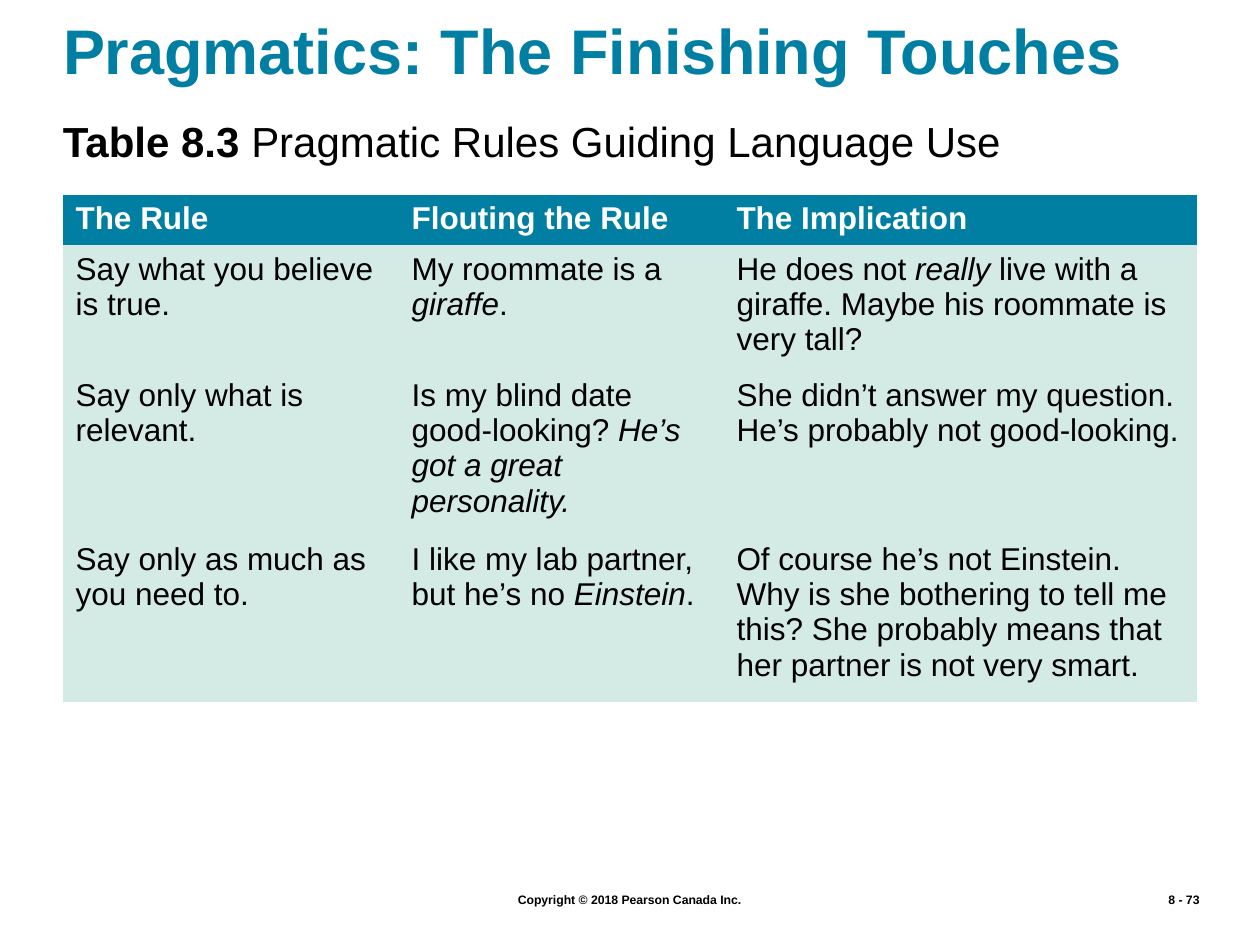
from dataclasses import dataclass

from pptx import Presentation
from pptx.dml.color import RGBColor
from pptx.enum.text import MSO_ANCHOR, MSO_AUTO_SIZE, PP_ALIGN
from pptx.util import Pt

LEFT, MID, RIGHT = PP_ALIGN.LEFT, PP_ALIGN.CENTER, PP_ALIGN.RIGHT
TOP, CENTER = MSO_ANCHOR.TOP, MSO_ANCHOR.MIDDLE
NO_FIT = MSO_AUTO_SIZE.NONE
PLAIN = "{2D5ABB26-0587-4C30-8999-92F81FD0307C}"  # no style, no grid


@dataclass(frozen=True)
class Theme:
    font: str = "Arial"
    teal: str = "007FA3"
    mint: str = "D4EAE4"
    ink: str = "000000"
    white: str = "FFFFFF"
    title: int = 36
    lead: int = 24
    cell: int = 18
    foot: int = 7


T = Theme()

# Content: each text is a list of (words, style), style "b" bold, "i" italic
TITLE = [("Pragmatics: The Finishing Touches", "b")]
LEAD = [("Table 8.3 ", "b"), ("Pragmatic Rules Guiding Language Use", "")]
HEAD = [[("The Rule", "b")], [("Flouting the Rule", "b")], [("The Implication", "b")]]
RULES = [
    [
        [("Say what you believe is true.", "")],
        [("My roommate is a ", ""), ("giraffe", "i"), (".", "")],
        [("He does not ", ""), ("really ", "i"),
         ("live with a giraffe. Maybe his roommate is very tall?", "")],
    ],
    [
        [("Say only what is relevant.", "")],
        [("Is my blind date good-looking? ", ""),
         ("He’s got a great personality.", "i")],
        [("She didn’t answer my question. He’s probably not good-looking.", "")],
    ],
    [
        [("Say only as much as you need to.", "")],
        [("I like my lab partner, but he’s no ", ""), ("Einstein", "i"), (".", "")],
        [("Of course he’s not Einstein. Why is she bothering to tell me this? "
          "She probably means that her partner is not very smart.", "")],
    ],
]
COPY = [("Copyright © 2018 Pearson Canada Inc.", "b")]
PAGE = [("8 - 73", "b")]

# Layout in px, 126 to the inch
COLS = [336, 325, 473]
ROWS = [48, 119, 154, 167]
EDGE = 63
WIDE = sum(COLS)


def px(n):
    return round(n * 914400 / 126)


def write(frame, runs, size, color, align=LEFT):
    para = frame.paragraphs[0]
    para.alignment = align
    for words, style in runs:
        run = para.add_run()
        run.text = words
        font = run.font
        font.name, font.size = T.font, Pt(size)
        font.bold, font.italic = style == "b", style == "i"
        font.color.rgb = RGBColor.from_string(color)


def trim(frame, anchor):
    frame.margin_left = frame.margin_right = 0
    frame.margin_top = frame.margin_bottom = 0
    frame.vertical_anchor = anchor
    frame.auto_size = NO_FIT


def add_text(slide, box, runs, size, align=LEFT):
    frame = slide.shapes.add_textbox(*map(px, box)).text_frame
    frame.word_wrap = True
    write(frame, runs, size, T.ink, align)
    return frame


def add_rules(slide):
    data = [HEAD] + RULES
    box = (EDGE, 195, WIDE, sum(ROWS))
    table = slide.shapes.add_table(len(ROWS), len(COLS), *map(px, box)).table
    table._tbl.tblPr[0].text = PLAIN
    table.horz_banding = False
    for col, width in zip(table.columns, COLS):
        col.width = px(width)
    for r, (row, high) in enumerate(zip(data, ROWS)):
        table.rows[r].height = px(high)
        fill, ink = (T.mint, T.ink) if r else (T.teal, T.white)
        for c, runs in enumerate(row):
            cell = table.cell(r, c)
            cell.fill.solid()
            cell.fill.fore_color.rgb = RGBColor.from_string(fill)
            write(cell.text_frame, runs, T.cell, ink)


def main():
    deck = Presentation()
    deck.slide_width, deck.slide_height = px(1260), px(945)
    slide = deck.slides.add_slide(deck.slide_layouts[5])

    # Footer
    add_text(slide, (136, 886, 987, 28), COPY, T.foot, MID)
    add_text(slide, (1086, 886, 126, 28), PAGE, T.foot, RIGHT)

    # Title and table caption
    title = slide.shapes.title
    title.left, title.top, title.width, title.height = map(px, (EDGE, 8, WIDE, 82))
    trim(title.text_frame, CENTER)
    write(title.text_frame, TITLE, T.title, T.teal)
    trim(add_text(slide, (EDGE, 116, WIDE, 50), LEAD, T.lead), TOP)

    # Table of rules
    add_rules(slide)
    deck.save("out.pptx")


if __name__ == "__main__":
    main()
